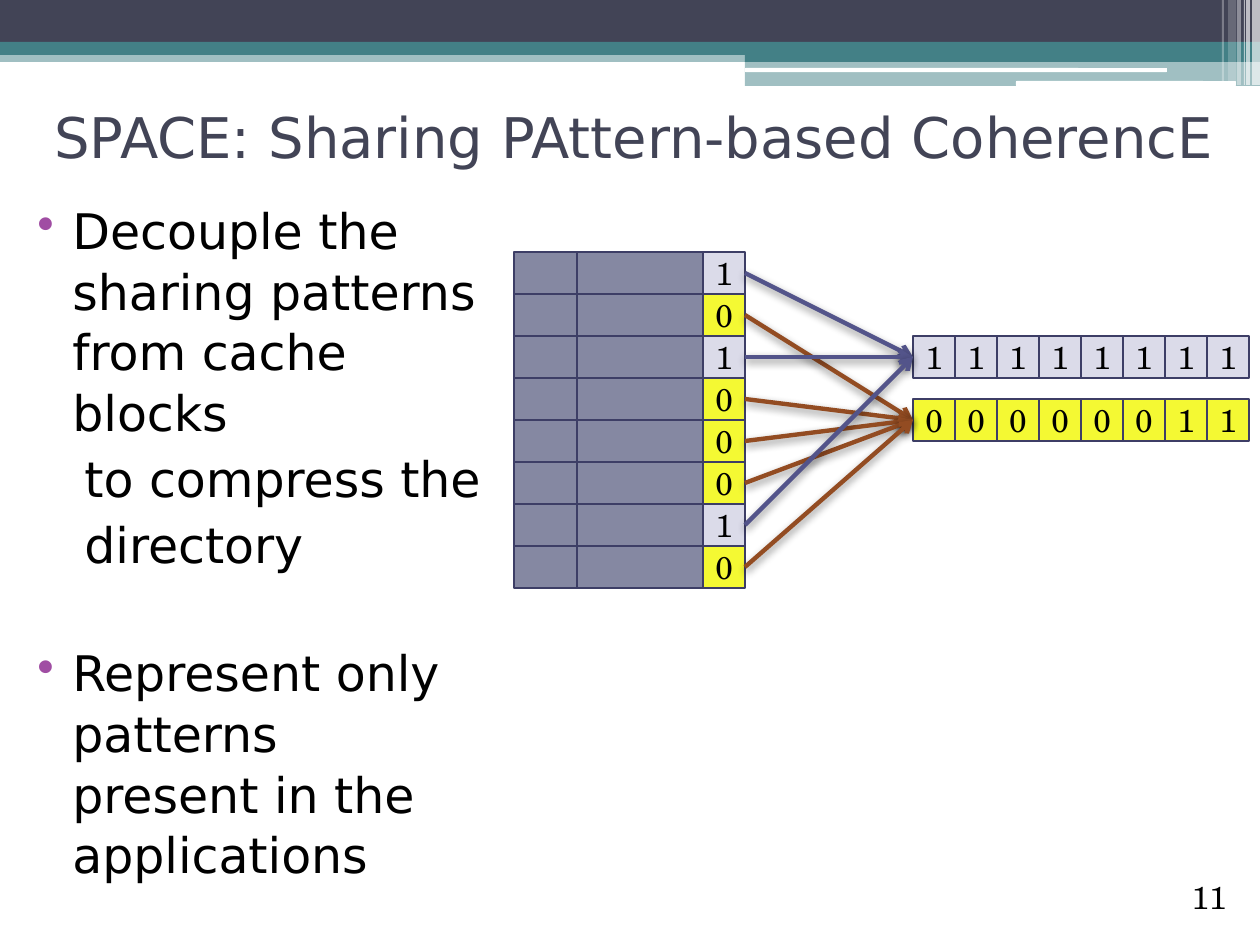
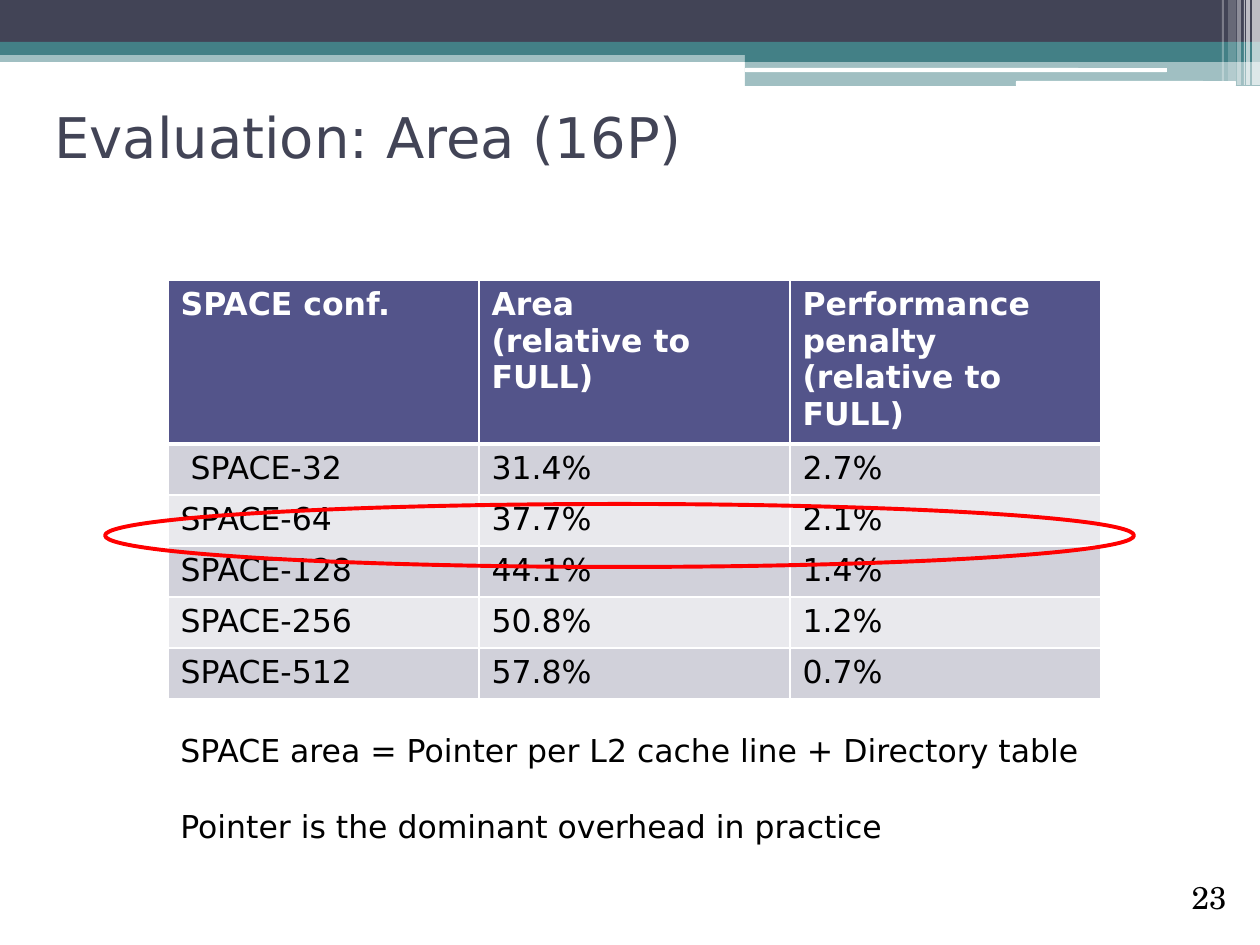
"""Build two slides on a directory scheme: its diagram and its area table."""
from dataclasses import dataclass

from lxml import etree
from pptx import Presentation
from pptx import util as u
from pptx.dml.color import RGBColor
from pptx.enum import shapes, text
from pptx.oxml import ns

SCALE = 914400 / 126


@dataclass(frozen=True)
class Theme:
    """Colours, fonts and type sizes of the deck."""
    dark: str = "424456"
    teal: str = "438086"
    white: str = "FFFFFF"
    black: str = "000000"
    bullet: str = "A04DA3"
    edge: str = "3D3E66"
    block: str = "8588A2"
    pale: str = "DBDBE9"
    yellow: str = "F4F933"
    blue: str = "53548A"
    brown: str = "934C22"
    odd: str = "D1D1DA"
    even: str = "E9E9ED"
    red: str = "FF0000"
    sans: str = "DejaVu Sans"
    serif: str = "TeX Gyre Schola"
    title: int = 32
    body: int = 28
    small: int = 18


T = Theme()
RECT, ROUND, OVAL = (shapes.MSO_SHAPE.RECTANGLE, shapes.MSO_SHAPE.ROUNDED_RECTANGLE,
                     shapes.MSO_SHAPE.OVAL)
MID, LOW = text.MSO_ANCHOR.MIDDLE, text.MSO_ANCHOR.BOTTOM
MID_X, RIGHT = text.PP_ALIGN.CENTER, text.PP_ALIGN.RIGHT

BANDS = [
    (RECT, (0, 50, 1260, 12), T.teal, 50),
    (RECT, (0, 0, 1260, 42), T.dark, 100),
    (RECT, (0, 42, 1260, 13), T.teal, 100),
    (RECT, (745, 49, 515, 13), T.teal, 100),
    (RECT, (745, 61, 515, 25), T.teal, 50),
    (ROUND, (745, 68, 422, 4), T.white, 100),
    (ROUND, (1016, 81, 220, 5), T.white, 100),
]
STRIPES = [(1252, 8, 85, 65), (1246, 4, 85, 65), (1244, 1, 85, 60),
           (1237, 4, 85, 40), (1228, 8, 81, 20), (1222, 2, 81, 30)]
BITS = "10100010"
SETS = {"1": ("11111111", 336, T.pale, T.blue), "0": ("00000011", 399, T.yellow, T.brown)}
ROWS = [
    ("SPACE conf.", "Area\n(relative to FULL)", "Performance penalty (relative to FULL)"),
    (" SPACE-32", "31.4%", "2.7%"),
    ("SPACE-64", "37.7%", "2.1%"),
    ("SPACE-128", "44.1%", "1.4%"),
    ("SPACE-256", "50.8%", "1.2%"),
    ("SPACE-512", "57.8%", "0.7%"),
]


def px(num):
    """Turn pixels into EMU."""
    return u.Emu(round(num * SCALE))


def rgb(code):
    """Turn a hex code into a colour."""
    return RGBColor.from_string(code)


def node(top, tag, **keys):
    """Add an XML child with attributes."""
    return etree.SubElement(top, ns.qn(tag), {k: str(v) for k, v in keys.items()})


def write(frame, words, size=T.small, font=T.sans, color=T.black, bold=False,
          align=None, anchor=None, gap=0):
    """Fill a text frame, one paragraph a line."""
    if anchor is not None:
        frame.vertical_anchor = anchor
    for i, line in enumerate(words.split("\n")):
        par = frame.add_paragraph() if i else frame.paragraphs[0]
        par.text = line
        par.alignment = align
        if i and gap:
            par.space_before = u.Pt(gap)
        for run in par.runs:
            run.font.size, run.font.name, run.font.bold = u.Pt(size), font, bold
            run.font.color.rgb = rgb(color)


def label(slide, box, words, **form):
    """Add a wrapping text box."""
    frame = slide.shapes.add_textbox(*map(px, box)).text_frame
    frame.word_wrap = True
    write(frame, words, **form)
    return frame


def shape(slide, kind, box, fill=None, line=None, width=1.5, alpha=100):
    """Add a flat preset shape."""
    item = slide.shapes.add_shape(kind, *map(px, box))
    item.shadow.inherit = False
    if fill:
        item.fill.solid()
        item.fill.fore_color.rgb = rgb(fill)
        if alpha < 100:
            node(item.element.spPr.find(".//" + ns.qn("a:srgbClr")), "a:alpha", val=alpha * 1000)
    else:
        item.fill.background()
    if line:
        item.line.color.rgb = rgb(line)
        item.line.width = u.Pt(width)
    else:
        item.line.fill.background()
    return item


def bit(slide, x, y, digit, fill):
    """Add one square holding a digit."""
    frame = shape(slide, RECT, (x, y, 42, 42), fill, T.edge).text_frame
    frame.margin_left = frame.margin_right = frame.margin_top = frame.margin_bottom = 0
    write(frame, digit, font=T.serif, align=MID_X, anchor=MID)


def arrow(slide, start, end, color):
    """Add an arrow with a soft shadow."""
    item = slide.shapes.add_connector(shapes.MSO_CONNECTOR.STRAIGHT, *map(px, start + end))
    item.line.color.rgb = rgb(color)
    item.line.width = u.Pt(2.5)
    props = item.element.spPr
    node(props.find(ns.qn("a:ln")), "a:tailEnd", type="arrow")
    glow = node(node(props, "a:effectLst"), "a:outerShdw", blurRad=u.Pt(5), dist=u.Pt(2.1),
                dir=90 * 60000, rotWithShape=0)
    node(node(glow, "a:srgbClr", val=T.black), "a:alpha", val=45000)


def base(deck, title, page, width):
    """Add a slide with bands, title and page number."""
    slide = deck.slides.add_slide(deck.slide_layouts[6])
    for kind, box, fill, alpha in BANDS:
        shape(slide, kind, box, fill, alpha=alpha)
    for x, wide, high, alpha in STRIPES:
        shape(slide, RECT, (x, 0, wide, high), T.white, alpha=alpha)
    label(slide, (42, 63, width, 147), title, size=T.title, color=T.dark, anchor=MID)
    label(slide, (1134, 872, 105, 50), page, font=T.serif, align=RIGHT, anchor=LOW)
    return slide


def points(slide):
    """Add the bulleted text, with plain lines set further in."""
    frame = label(slide, (10, 63, 494, 785),
                  "Decouple the sharing patterns from cache blocks\nto compress the\ndirectory\n"
                  "Represent only patterns\vpresent in the applications", size=T.body, gap=3)
    frame.margin_top = px(136)
    for i, par in enumerate(frame.paragraphs):
        par.line_spacing = 1.03
        props = par._p.get_or_add_pPr()
        if i in (0, 3):
            props.set("marL", str(px(50)))
            props.set("indent", str(px(-35)))
            node(node(props, "a:buClr"), "a:srgbClr", val=T.bullet)
            node(props, "a:buChar", char="•")
        else:
            props.set("marL", str(px(62)))
    frame.paragraphs[3].space_before = u.Pt(39)


def diagram(slide):
    """Draw cache blocks pointing to shared patterns."""
    for digits, top, fill, _ in SETS.values():
        for i, digit in enumerate(digits):
            bit(slide, 913 + 42 * i, top, digit, fill)
    for i, digit in enumerate(BITS):
        y = 252 + 42 * i
        for x, wide in ((514, 63), (577, 126)):
            shape(slide, RECT, (x, y, wide, 42), T.block, T.edge)
        bit(slide, 703, y, digit, SETS[digit][2])
    for i, digit in enumerate(BITS):
        _, top, _, color = SETS[digit]
        arrow(slide, (745, 273 + 42 * i), (913, top + 21), color)


def border(cell, low):
    """Give a cell white edges, the lower one of its own width."""
    props = cell._tc.get_or_add_tcPr()
    for i, side in enumerate("LRTB"):
        edge = node(props, "a:ln" + side, w=u.Pt(low if side == "B" else 1))
        node(node(edge, "a:solidFill"), "a:srgbClr", val=T.white)
        props.insert(i, edge)


def grid(slide):
    """Add the area table."""
    table = slide.shapes.add_table(len(ROWS), 3, px(168), px(280), px(933), px(381)).table
    for col in table.columns:
        col.width = px(311)
    for r, row in enumerate(ROWS):
        table.rows[r].height = px(51 if r else 126)
        for c, words in enumerate(row):
            cell = table.cell(r, c)
            cell.fill.solid()
            cell.fill.fore_color.rgb = rgb((T.odd if r % 2 else T.even) if r else T.blue)
            border(cell, 1 if r else 3)
            write(cell.text_frame, words, color=T.black if r else T.white, bold=not r)


def main():
    """Build and save the deck."""
    deck = Presentation()
    deck.slide_width, deck.slide_height = px(1260), px(945)
    first = base(deck, "SPACE: Sharing PAttern-based CoherencE", "11", 1187)
    points(first)
    diagram(first)
    second = base(deck, "Evaluation: Area (16P)", "23", 1134)
    grid(second)
    label(second, (168, 725, 934, 127), "SPACE area = Pointer per L2 cache line + Directory table\n"
          "Pointer is the dominant overhead in practice", gap=22)
    shape(second, OVAL, (105, 504, 1029, 63), line=T.red, width=2.25)
    deck.save("out.pptx")


main()
